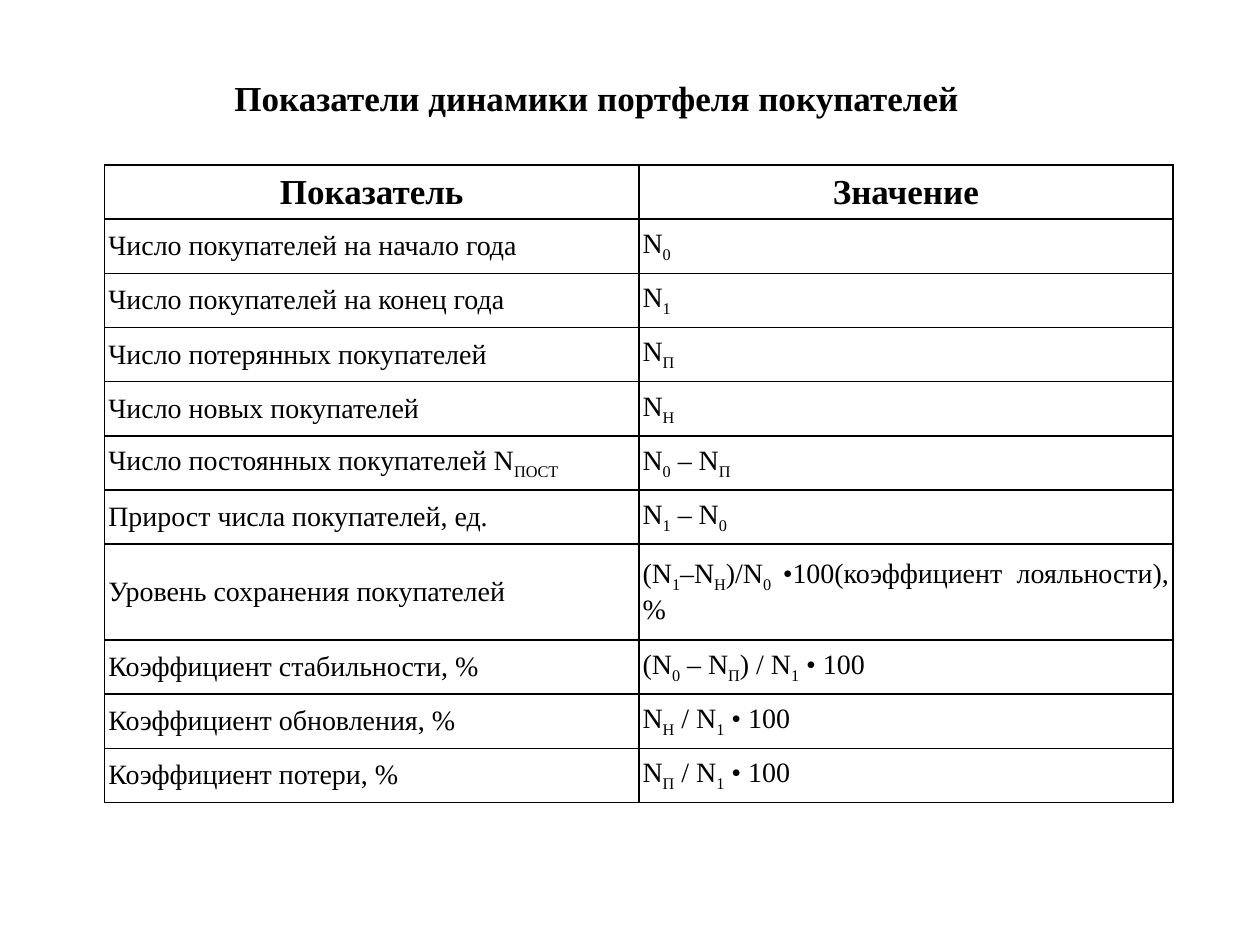
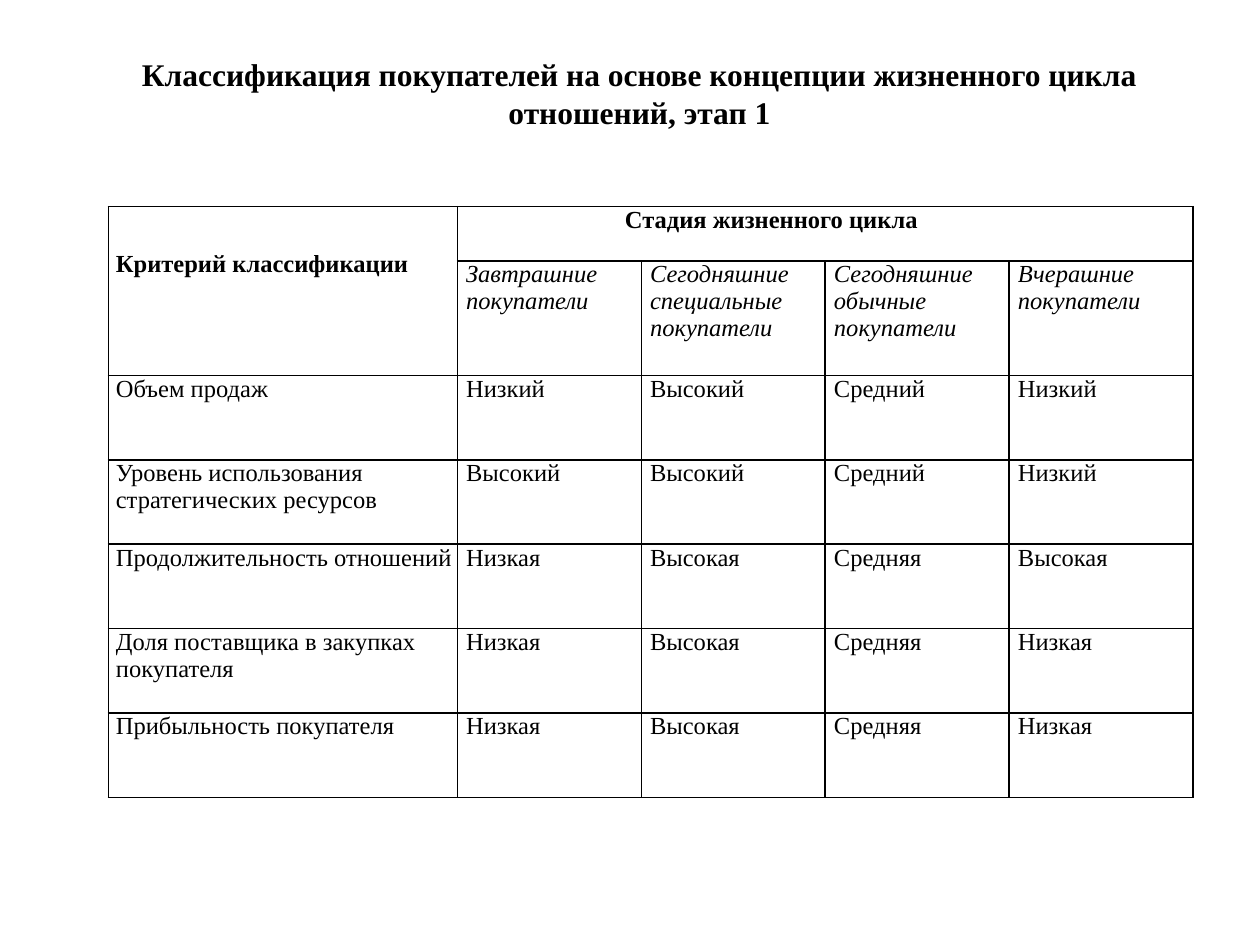
from lxml.etree import SubElement
from pptx import Presentation
from pptx.dml.color import RGBColor
from pptx.enum.text import MSO_ANCHOR, PP_ALIGN
from pptx.oxml.ns import qn
from pptx.util import Inches, Pt

COLORS = {"ink": "000000", "paper": "FFFFFF"}
FONT = "Times New Roman"

# Text between tildes is set as a subscript
RATES = [
    ("Показатель", "Значение"),
    ("Число покупателей на начало года", "N~0~"),
    ("Число покупателей на конец года", "N~1~"),
    ("Число потерянных покупателей", "N~П~"),
    ("Число новых покупателей", "N~H~"),
    ("Число постоянных покупателей N~ПОСТ~", "N~0~ – N~П~"),
    ("Прирост числа покупателей, ед.", "N~1~ – N~0~"),
    ("Уровень сохранения покупателей",
     "(N~1~–N~H~)/N~0 ~•100(коэффициент лояльности), %"),
    ("Коэффициент стабильности, %", "(N~0~ – N~П~) / N~1~ • 100"),
    ("Коэффициент обновления, %", "N~H~ / N~1~ • 100"),
    ("Коэффициент потери, %", "N~П~ / N~1~ • 100"),
]

STAGES = [
    ("Критерий классификации", "Стадия жизненного цикла", "", "", ""),
    ("", "Завтрашние покупатели", "Сегодняшние специальные покупатели",
     "Сегодняшние обычные покупатели", "Вчерашние покупатели"),
    ("Объем продаж", "Низкий", "Высокий", "Средний", "Низкий"),
    ("Уровень использования стратегических ресурсов",
     "Высокий", "Высокий", "Средний", "Низкий"),
    ("Продолжительность отношений", "Низкая", "Высокая", "Средняя", "Высокая"),
    ("Доля поставщика в закупках покупателя",
     "Низкая", "Высокая", "Средняя", "Низкая"),
    ("Прибыльность покупателя", "Низкая", "Высокая", "Средняя", "Низкая"),
]


class Deck:
    def __init__(self):
        self.prs = Presentation()
        self.prs.slide_width = Inches(10)
        self.prs.slide_height = Inches(7.5)
        self.slide = None

    def page(self):
        self.slide = self.prs.slides.add_slide(self.prs.slide_layouts[6])

    def label(self, frame, text, size, bold=False, italic=False,
              align=PP_ALIGN.LEFT):
        para = frame.paragraphs[0]
        para.alignment = align
        for i, part in enumerate(text.split("~")):
            if not part:
                continue
            run = para.add_run()
            run.text = part
            font = run.font
            font.name, font.size = FONT, Pt(size)
            font.bold, font.italic = bold, italic
            font.color.rgb = RGBColor.from_string(COLORS["ink"])
            if i % 2:
                run._r.get_or_add_rPr().set("baseline", "-25000")

    def title(self, text, box, size):
        frame = self.slide.shapes.add_textbox(*map(Inches, box)).text_frame
        frame.word_wrap = True
        self.label(frame, text, size, bold=True, align=PP_ALIGN.CENTER)

    def grid(self, left, top, cols, rows):
        area = map(Inches, (left, top, sum(cols), sum(rows)))
        table = self.slide.shapes.add_table(len(rows), len(cols), *area).table
        table.first_row = table.horz_banding = False
        for col, width in zip(table.columns, cols):
            col.width = Inches(width)
        for row, height in zip(table.rows, rows):
            row.height = Inches(height)
        for cell in table.iter_cells():
            self.frame(cell)
        return table

    def frame(self, cell):
        props = cell._tc.get_or_add_tcPr()
        for side in ("lnL", "lnR", "lnT", "lnB"):
            line = SubElement(props, qn("a:" + side), w=str(Pt(1)))
            fill = SubElement(line, qn("a:solidFill"))
            SubElement(fill, qn("a:srgbClr"), val=COLORS["ink"])
        cell.fill.solid()
        cell.fill.fore_color.rgb = RGBColor.from_string(COLORS["paper"])

    def cell(self, cell, text, size, pads, anchor=MSO_ANCHOR.TOP, **style):
        left, top, right, bottom = map(Inches, pads)
        cell.margin_left, cell.margin_top = left, top
        cell.margin_right, cell.margin_bottom = right, bottom
        cell.vertical_anchor = anchor
        self.label(cell.text_frame, text, size, **style)


def rates(deck):
    deck.page()
    deck.title("Показатели динамики портфеля покупателей",
               (1.52, 0.56, 6.43, 0.44), 20)
    heights = [0.76 if "сохранения" in name else 0.43 for name, _ in RATES]
    table = deck.grid(0.83, 1.31, [4.24] * 2, heights)
    for r, row in enumerate(RATES):
        head = r == 0
        for c, text in enumerate(row):
            deck.cell(table.cell(r, c), text, 20 if head else 16, [0.03] * 4,
                      MSO_ANCHOR.MIDDLE, bold=head,
                      align=PP_ALIGN.CENTER if head else PP_ALIGN.JUSTIFY)


def stages(deck):
    deck.page()
    table = deck.grid(0.86, 1.64, [2.77] + [1.46] * 4,
                      [0.43, 0.91] + [0.67] * 5)
    # Header spans
    table.cell(0, 0).merge(table.cell(1, 0))
    table.cell(0, 1).merge(table.cell(0, 4))
    pads = {(0, 0): (0.06, 0.35, 0, 0), (0, 1): (1.33, 0, 0, 0)}
    for r, row in enumerate(STAGES):
        for c, text in enumerate(row):
            if text:
                pad = pads.get((r, c), (0.07 if c else 0.06, 0, 0, 0))
                deck.cell(table.cell(r, c), text, 14, pad,
                          bold=r == 0, italic=r == 1)
    deck.title("Классификация покупателей на основе концепции "
               "жизненного цикла отношений, этап 1",
               (0.7, 0.39, 8.75, 0.71), 18)


def main():
    deck = Deck()
    rates(deck)
    stages(deck)
    deck.prs.save("out.pptx")


if __name__ == "__main__":
    main()
